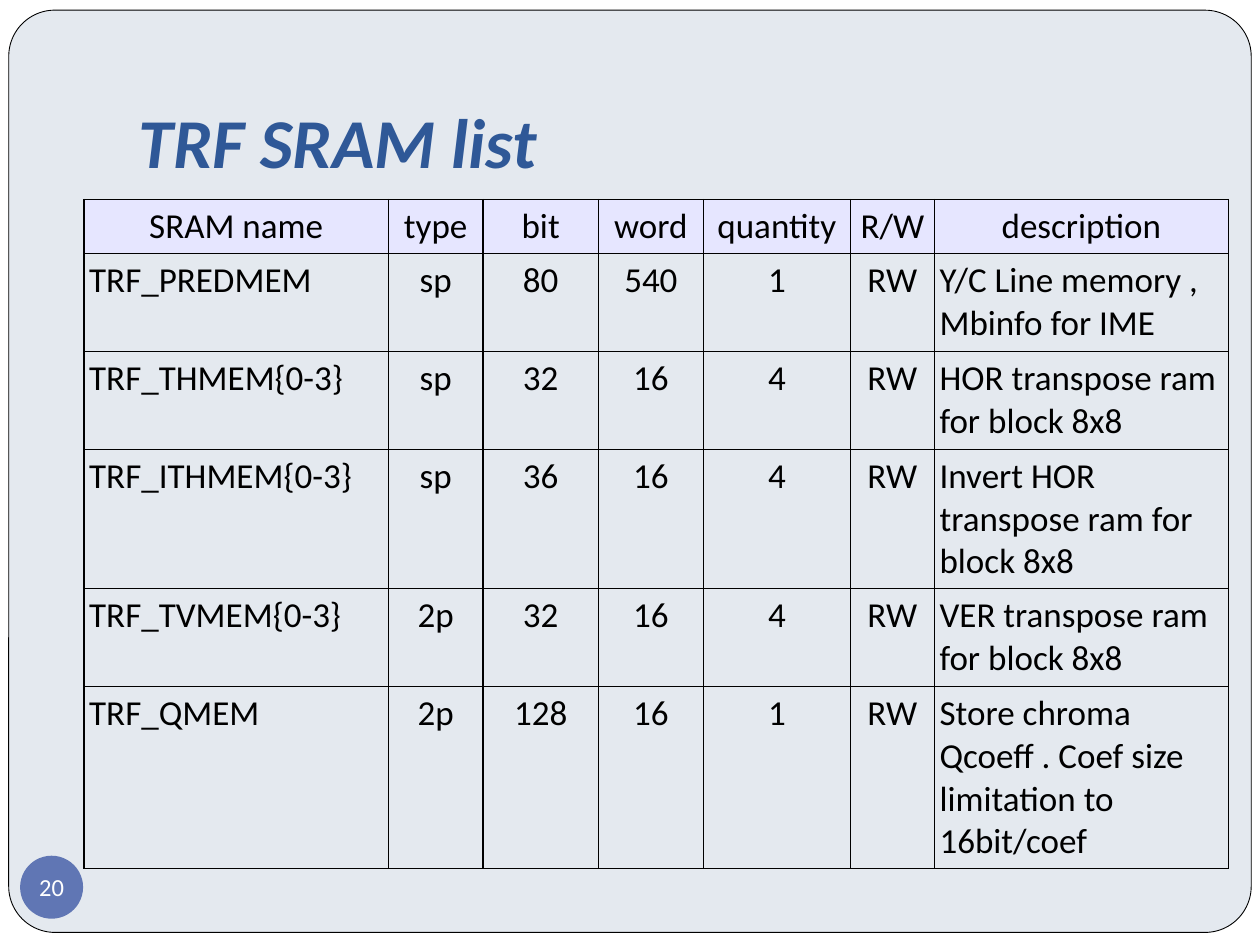
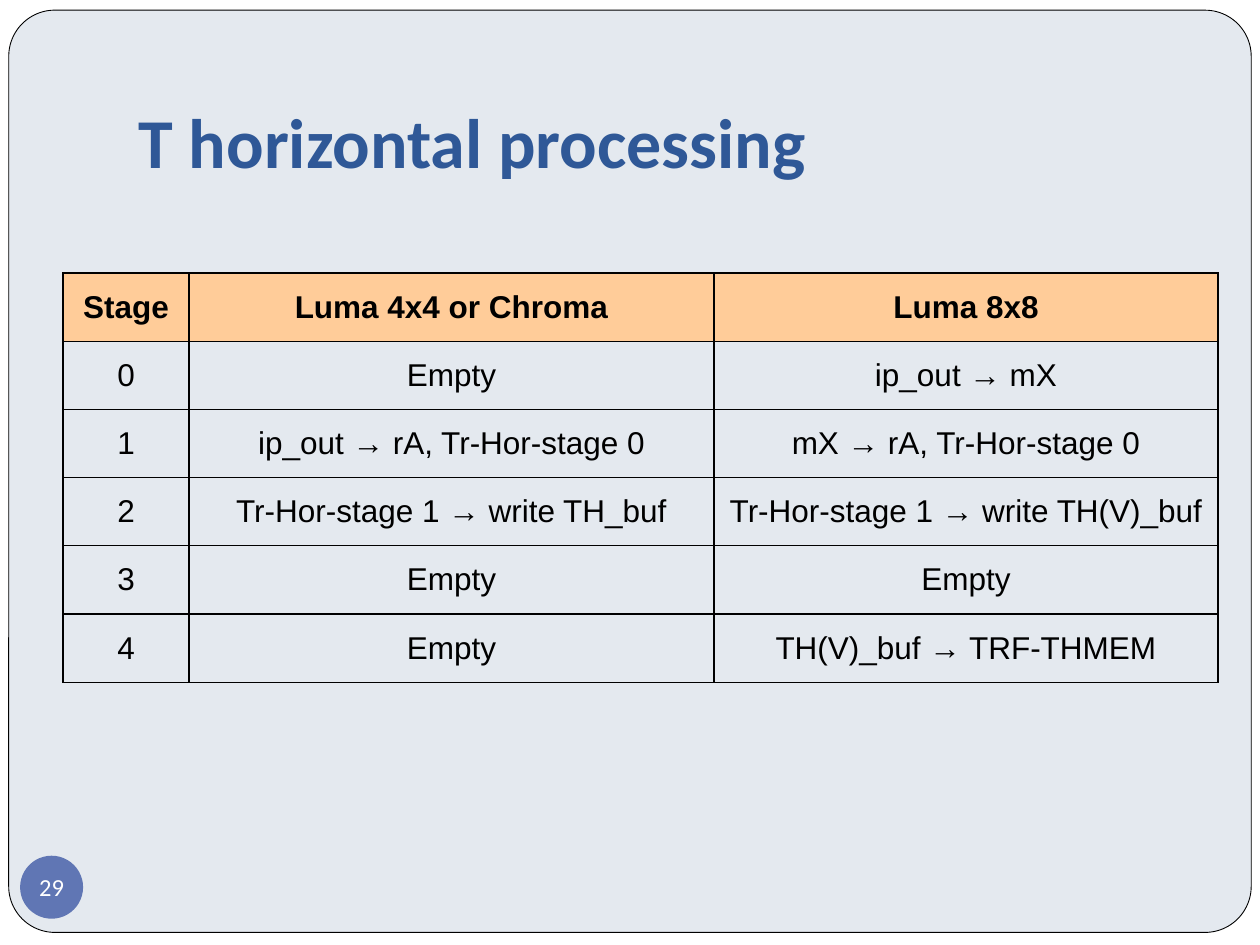
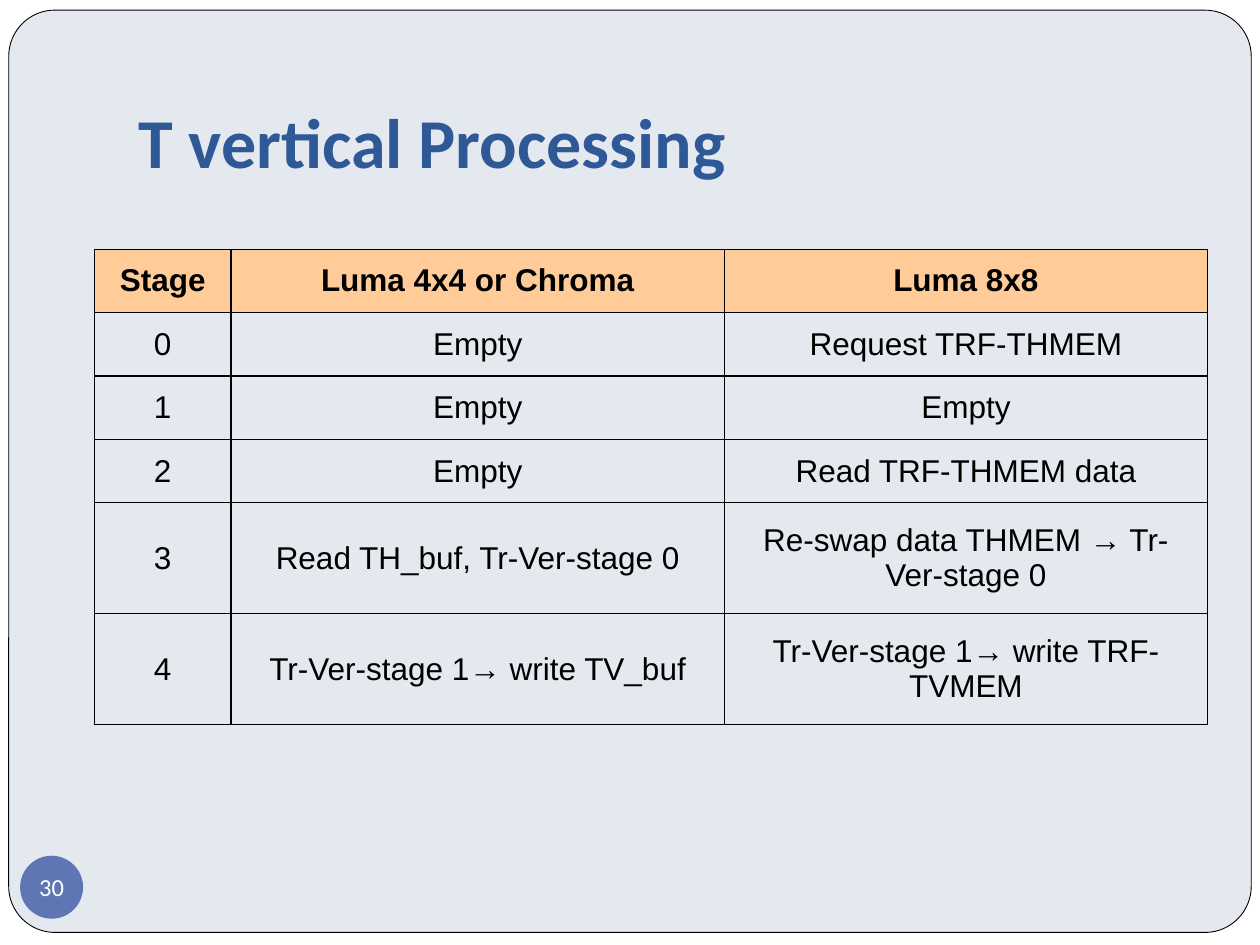
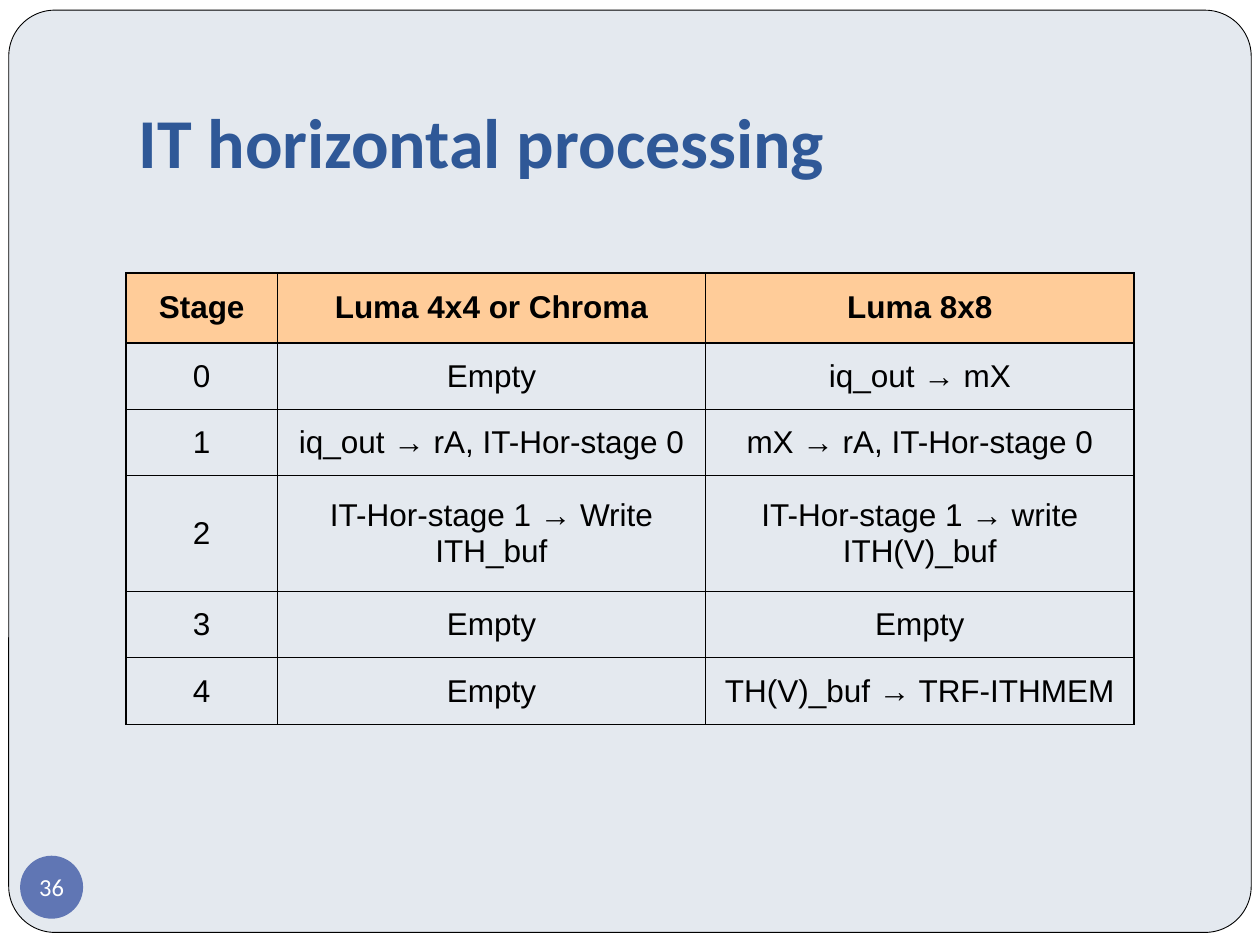
from lxml import etree
from pptx import Presentation
from pptx.dml.color import RGBColor
from pptx.enum import shapes, text
from pptx.oxml import ns
from pptx.util import Pt

COLORS = {
    "paper": "FFFFFF", "panel": "E4E9EF", "ink": "000000", "title": "2F5897",
    "badge": "6076B4", "lavender": "E6E6FF", "peach": "FFCC99",
}
PAGE = (0, 0, 720, 540)
PANEL = (5, 5.8, 710, 527)
TITLE = (72, 21.6, 612, 90)
BADGE = (11.5, 489, 36, 36)

SRAM_STYLE = {
    "font": "Calibri", "size": 20, "head": "lavender", "bold_head": False, "border": 1,
    "inset": (3, 3), "anchor": text.MSO_ANCHOR.TOP, "after": 5.8, "left_columns": (0, 6),
}
STAGE_STYLE = {
    "font": "Arial", "size": 18, "head": "peach", "bold_head": True, "border": 0.75,
    "inset": (7.2, 3.6), "anchor": text.MSO_ANCHOR.MIDDLE, "after": 0, "left_columns": (),
}
STAGE_HEAD = ("Stage", "Luma 4x4 or Chroma", "Luma 8x8")

SRAM_ROWS = [
    ("SRAM name", "type", "bit", "word", "quantity", "R/W", "description"),
    ("TRF_PREDMEM", "sp", "80", "540", "1", "RW", "Y/C Line memory , Mbinfo for IME"),
    ("TRF_THMEM{0-3}", "sp", "32", "16", "4", "RW", "HOR transpose ram for block 8x8"),
    ("TRF_ITHMEM{0-3}", "sp", "36", "16", "4", "RW", "Invert HOR transpose ram for block 8x8"),
    ("TRF_TVMEM{0-3}", "2p", "32", "16", "4", "RW", "VER transpose ram for block 8x8"),
    ("TRF_QMEM", "2p", "128", "16", "1", "RW",
     "Store chroma Qcoeff . Coef size limitation to 16bit/coef"),
]
T_HORIZONTAL = [
    ("Empty", "ip_out → mX"),
    ("ip_out → rA, Tr-Hor-stage 0", "mX → rA, Tr-Hor-stage 0"),
    ("Tr-Hor-stage 1 → write TH_buf", "Tr-Hor-stage 1 → write TH(V)_buf"),
    ("Empty", "Empty"),
    ("Empty", "TH(V)_buf → TRF-THMEM"),
]
T_VERTICAL = [
    ("Empty", "Request TRF-THMEM"),
    ("Empty", "Empty"),
    ("Empty", "Read TRF-THMEM data"),
    ("Read TH_buf, Tr-Ver-stage 0", "Re-swap data THMEM → Tr-Ver-stage 0"),
    ("Tr-Ver-stage 1→ write TV_buf", "Tr-Ver-stage 1→ write TRF-TVMEM"),
]
IT_HORIZONTAL = [
    ("Empty", "iq_out → mX"),
    ("iq_out → rA, IT-Hor-stage 0", "mX → rA, IT-Hor-stage 0"),
    ("IT-Hor-stage 1 → Write ITH_buf", "IT-Hor-stage 1 → write ITH(V)_buf"),
    ("Empty", "Empty"),
    ("Empty", "TH(V)_buf → TRF-ITHMEM"),
]


def rgb(name):
    """Return the named colour."""
    return RGBColor.from_string(COLORS[name])


def points(box):
    """Turn a box of point values into lengths."""
    return [Pt(value) for value in box]


def set_insets(holder, left, top, right, bottom):
    """Set the four inner margins of a cell or text frame."""
    holder.margin_left, holder.margin_top = Pt(left), Pt(top)
    holder.margin_right, holder.margin_bottom = Pt(right), Pt(bottom)


def set_font(paragraph, name, size, color, bold=False, italic=False):
    """Format a whole paragraph."""
    font = paragraph.font
    font.name, font.size = name, Pt(size)
    font.bold, font.italic = bold, italic
    font.color.rgb = rgb(color)


def add_plain(slide, preset, box, fill, border=None):
    """Add a flat filled shape with an optional border width."""
    shape = slide.shapes.add_shape(preset, *points(box))
    shape.shadow.inherit = False
    shape.fill.solid()
    shape.fill.fore_color.rgb = rgb(fill)
    if border:
        shape.line.color.rgb = rgb("ink")
        shape.line.width = Pt(border)
    else:
        shape.line.fill.background()
    return shape


def build_backdrop(slide, layout):
    """Give the layout its background, page and rounded panel."""
    layout.background.fill.solid()
    layout.background.fill.fore_color.rgb = rgb("panel")
    page = add_plain(slide, shapes.MSO_SHAPE.RECTANGLE, PAGE, "paper")
    panel = add_plain(slide, shapes.MSO_SHAPE.ROUNDED_RECTANGLE, PANEL, "panel", 0.5)
    panel.adjustments[0] = 0.05
    for position, part in enumerate((page, panel), start=2):
        layout.shapes.element.insert(position, part.element)


def fill_title(slide, box, heading, italic):
    """Place and format the title placeholder."""
    title = slide.shapes.title
    title.left, title.top, title.width, title.height = points(box)
    frame = title.text_frame
    frame.text = heading
    frame.word_wrap = True
    frame.auto_size = text.MSO_AUTO_SIZE.NONE
    frame.vertical_anchor = text.MSO_ANCHOR.BOTTOM
    set_insets(frame, 7.2, 3.6, 7.2, 7.2)
    paragraph = frame.paragraphs[0]
    paragraph.alignment = text.PP_ALIGN.LEFT
    set_font(paragraph, "Calibri", 40, "title", True, italic)


def add_badge(slide, box, number):
    """Add the round page number."""
    frame = add_plain(slide, shapes.MSO_SHAPE.OVAL, box, "badge").text_frame
    frame.text = str(number)
    frame.word_wrap = False
    frame.vertical_anchor = text.MSO_ANCHOR.MIDDLE
    set_insets(frame, 0, 0, 0, 0)
    frame.paragraphs[0].alignment = text.PP_ALIGN.CENTER
    set_font(frame.paragraphs[0], "Calibri", 14, "paper")


def add_borders(cell, width):
    """Draw a solid line on each side of a cell."""
    properties = cell._tc.get_or_add_tcPr()
    for side in ("a:lnL", "a:lnR", "a:lnT", "a:lnB"):
        line = etree.SubElement(properties, ns.qn(side), w=str(int(Pt(width))))
        solid = etree.SubElement(line, ns.qn("a:solidFill"))
        etree.SubElement(solid, ns.qn("a:srgbClr"), val=COLORS["ink"])


def format_cell(cell, content, style, is_head, is_left):
    """Write and format one table cell."""
    cell.text = content
    cell.vertical_anchor = style["anchor"]
    set_insets(cell, *style["inset"] * 2)
    add_borders(cell, style["border"])
    if is_head:
        cell.fill.solid()
        cell.fill.fore_color.rgb = rgb(style["head"])
    else:
        cell.fill.background()
    paragraph = cell.text_frame.paragraphs[0]
    paragraph.alignment = text.PP_ALIGN.LEFT if is_left else text.PP_ALIGN.CENTER
    paragraph.space_after = Pt(style["after"])
    set_font(paragraph, style["font"], style["size"], "ink", is_head and style["bold_head"])


def add_grid(slide, origin, widths, heights, rows, style):
    """Add a table at its origin with the given columns and rows."""
    box = (*origin, sum(widths), sum(heights))
    table = slide.shapes.add_table(len(rows), len(widths), *points(box)).table
    table.first_row = table.horz_banding = False
    for column, width in zip(table.columns, widths):
        column.width = Pt(width)
    for r, (row, height) in enumerate(zip(rows, heights)):
        table.rows[r].height = Pt(height)
        for c, content in enumerate(row):
            is_left = r > 0 and c in style["left_columns"]
            format_cell(table.cell(r, c), content, style, r == 0, is_left)


def start_slide(deck, heading, number, italic=False):
    """Add a slide with its title and page number."""
    slide = deck.slides.add_slide(deck.slide_layouts[5])
    fill_title(slide, TITLE, heading, italic)
    add_badge(slide, BADGE, number)
    return slide


def stage_slide(deck, heading, number, origin, widths, heights, steps):
    """Add a slide whose table numbers its stages from zero."""
    slide = start_slide(deck, heading, number)
    rows = [STAGE_HEAD] + [(str(stage), *step) for stage, step in enumerate(steps)]
    add_grid(slide, origin, widths, heights, rows, STAGE_STYLE)


def main():
    """Build and save the four slides."""
    deck = Presentation()
    deck.slide_width, deck.slide_height = points(PAGE[2:])
    sram = start_slide(deck, "TRF SRAM list", 20, italic=True)
    build_backdrop(sram, deck.slide_layouts[5])
    add_grid(sram, (48, 114), (174, 54, 66, 60, 84, 48, 168),
             (31, 56, 56, 68.5, 56, 93), SRAM_ROWS, SRAM_STYLE)
    stage_slide(deck, "T horizontal processing", 29, (36, 156), (72, 300, 288),
                [39] * 6, T_HORIZONTAL)
    stage_slide(deck, "T vertical Processing", 30, (54, 142.5), (78, 282, 276),
                [36.2] * 4 + [63.4] * 2, T_VERTICAL)
    stage_slide(deck, "IT horizontal processing", 36, (72, 156), (86.5, 244.75, 244.75),
                (40, 38, 38, 66, 38, 38), IT_HORIZONTAL)
    deck.save("out.pptx")


if __name__ == "__main__":
    main()
